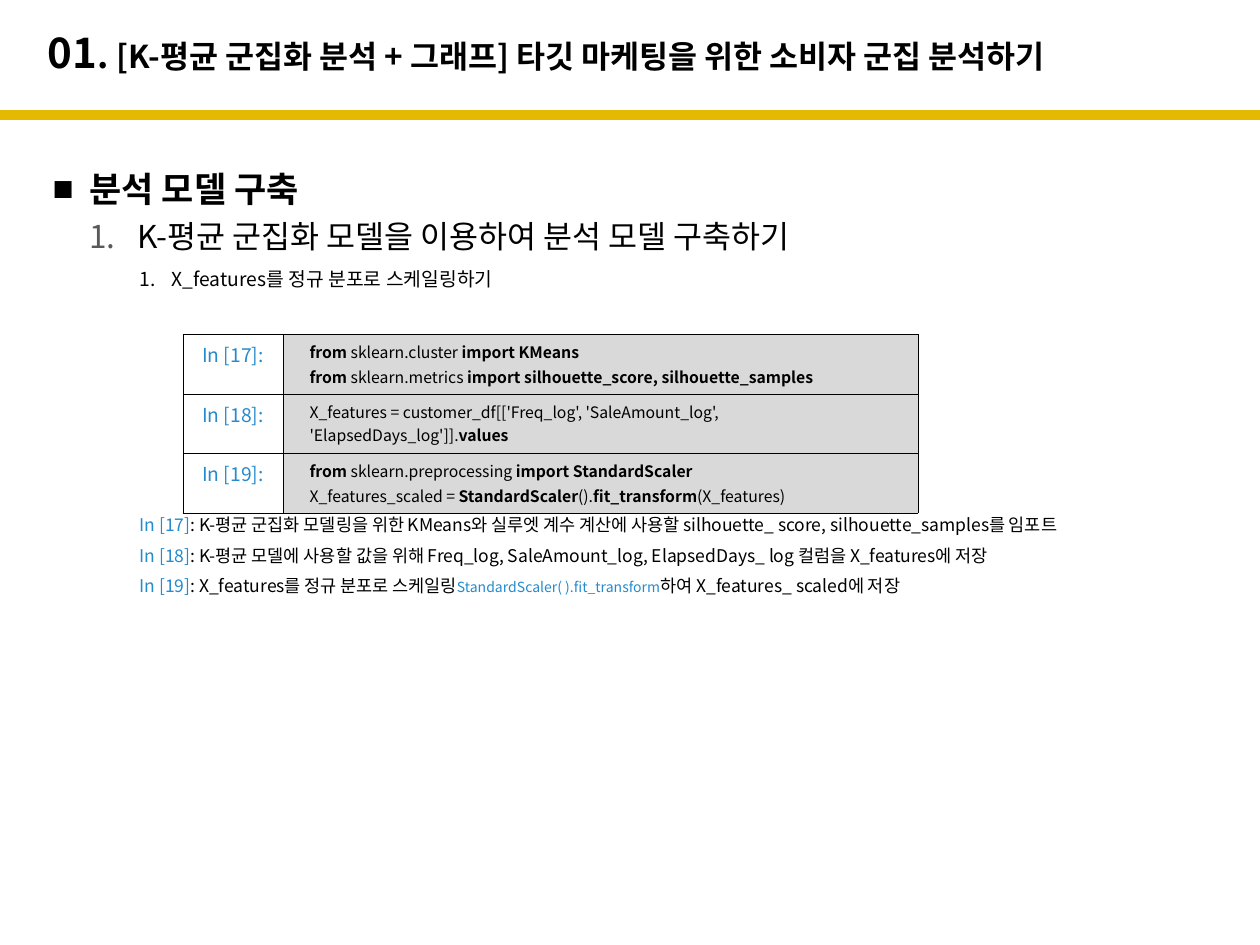
from lxml import etree
from pptx import Presentation
from pptx import util as u
from pptx.dml.color import RGBColor
from pptx.enum import shapes, text
from pptx.oxml import ns

FONT = "Noto Sans CJK KR"
BLACK, BLUE, GOLD = "000000", "258BCD", "E4B902"
WHITE, GRAY, DARK_GRAY = "FFFFFF", "D9D9D9", "595959"

CODE_ROWS = [
    ("In [17]:", 60, [
        [("from", True), (" sklearn.cluster ", False), ("import KMeans", True)],
        [("from", True), (" sklearn.metrics ", False),
         ("import silhouette_score, silhouette_samples", True)],
    ]),
    ("In [18]:", 59, [
        [("X_features = customer_df[['Freq_log', 'SaleAmount_log', 'ElapsedDays_log']].", False),
         ("values", True)],
    ]),
    ("In [19]:", 60, [
        [("from", True), (" sklearn.preprocessing ", False), ("import StandardScaler", True)],
        [("X_features_scaled = ", False), ("StandardScaler", True), ("().", False),
         ("fit_transform", True), ("(X_features)", False)],
    ]),
]

NOTES = [
    [("In [17]", BLUE, 10),
     (": K-평균 군집화 모델링을 위한 KMeans와 실루엣 계수 계산에 사용할 "
      "silhouette_ score, silhouette_samples를 임포트", BLACK, 10)],
    [("In [18]", BLUE, 10),
     (": K-평균 모델에 사용할 값을 위해 Freq_log, SaleAmount_log, ElapsedDays_ log "
      "컬럼을 X_features에 저장", BLACK, 10)],
    [("In [19]", BLUE, 10),
     (": X_features를 정규 분포로 스케일링", BLACK, 10),
     ("StandardScaler( ).fit_transform", BLUE, 8),
     ("하여 X_features_ scaled에 저장", BLACK, 10)],
]


def px(length):
    return u.Emu(round(length * 914400 / 126))


def rgb(color):
    return RGBColor.from_string(color)


def add_xml(parent, tag, **attributes):
    return etree.SubElement(parent, ns.qn(tag), **attributes)


def place(shape, left, top, width, height):
    shape.left, shape.top = px(left), px(top)
    shape.width, shape.height = px(width), px(height)


def add_text(paragraph, content, size, color=BLACK, bold=False, kerned=False):
    run = paragraph.add_run()
    run.text = content
    font = run.font
    font.size, font.bold, font.name = u.Pt(size), bold, FONT
    font.color.rgb = rgb(color)
    add_xml(font._element, "a:ea", typeface=FONT)
    if not kerned:
        font._element.set("kern", "0")


def add_paragraph(frame, level=0, left=0, hanging=0, before=0, after=0,
                  spacing=1.0, bullet=None, bullet_color=BLACK):
    """Fill the empty first paragraph or append one; bullet is a character, "1." or None."""
    first = frame.paragraphs[0]
    paragraph = frame.add_paragraph() if first.runs else first
    properties = paragraph._p.get_or_add_pPr()
    properties.set("marL", str(px(left)))
    properties.set("indent", str(-px(hanging)))
    if bullet is None:
        add_xml(properties, "a:buNone")
    else:
        add_xml(add_xml(properties, "a:buClr"), "a:srgbClr", val=bullet_color)
        if bullet == "1.":
            add_xml(properties, "a:buAutoNum", type="arabicPeriod")
        else:
            add_xml(properties, "a:buChar", char=bullet)
    paragraph.level = level
    paragraph.alignment = text.PP_ALIGN.LEFT
    paragraph.space_before, paragraph.space_after = u.Pt(before), u.Pt(after)
    paragraph.line_spacing = spacing
    return paragraph


def add_rule(slide):
    rule = slide.shapes.add_connector(
        shapes.MSO_CONNECTOR.STRAIGHT, 0, px(115), px(1260), px(115))
    rule.line.color.rgb = rgb(GOLD)
    rule.line.width = u.Pt(6)
    add_xml(rule._element.spPr, "a:effectLst")


def fill_title(title):
    place(title, 35, 14, 1197, 76)
    frame = title.text_frame
    frame.auto_size = text.MSO_AUTO_SIZE.NONE
    frame.vertical_anchor = text.MSO_ANCHOR.MIDDLE
    paragraph = add_paragraph(frame)
    for content, size in [
        ("01", 24), (". ", 20),
        ("[K-평균 군집화 분석 + 그래프] 타깃 마케팅을 위한 소비자 군집 분석하기", 18),
    ]:
        add_text(paragraph, content, size, bold=True)


def fill_body(body):
    place(body, 40, 140, 1191, 753)
    frame = body.text_frame
    frame.auto_size = text.MSO_AUTO_SIZE.NONE

    heading = add_paragraph(frame, left=37, hanging=37, spacing=1.5, bullet="■")
    add_text(heading, "분석 모델 구축", 20, bold=True)
    task = add_paragraph(frame, level=1, left=85, hanging=48, before=4.5, after=4,
                         bullet="1.", bullet_color=DARK_GRAY)
    add_text(task, "K-평균 군집화 모델을 이용하여 분석 모델 구축하기", 18)
    step = add_paragraph(frame, level=3, left=119, hanging=32, before=2.8, after=3,
                         bullet="1.")
    add_text(step, "X_features를 정규 분포로 스케일링하기", 11)

    table_gap = 125
    for index, note in enumerate(NOTES):
        paragraph = add_paragraph(frame, level=3, left=119, hanging=32, after=3,
                                  before=2.5 if index else table_gap)
        for content, color, size in note:
            add_text(paragraph, content, size, color)


def format_cell(cell, fill):
    """Draw thin black borders, then the fill, which must follow them in the XML."""
    properties = cell._tc.get_or_add_tcPr()
    for side in ("a:lnL", "a:lnR", "a:lnT", "a:lnB"):
        border = add_xml(properties, side, w=str(u.Pt(0.11)))
        add_xml(add_xml(border, "a:solidFill"), "a:srgbClr", val=BLACK)
    cell.fill.solid()
    cell.fill.fore_color.rgb = rgb(fill)


def add_code_table(slide):
    heights = [height for _, height, _ in CODE_ROWS]
    widths = [100, 635]
    table = slide.shapes.add_table(
        len(CODE_ROWS), len(widths), px(183), px(334), px(sum(widths)), px(sum(heights))).table
    for column, width in zip(table.columns, widths):
        column.width = px(width)
    for row, (label, height, code) in zip(table.rows, CODE_ROWS):
        row.height = px(height)
        label_cell, code_cell = row.cells
        format_cell(label_cell, WHITE)
        format_cell(code_cell, GRAY)
        paragraph = add_paragraph(label_cell.text_frame, after=3)
        paragraph.alignment = text.PP_ALIGN.CENTER
        add_text(paragraph, label, 11, BLUE, kerned=True)
        for index, line in enumerate(code):
            paragraph = add_paragraph(code_cell.text_frame, level=3, left=14,
                                      before=0.5 if index else 0, after=0.5)
            for content, bold in line:
                add_text(paragraph, content, 9, bold=bold, kerned=True)


def main():
    deck = Presentation()
    deck.slide_width, deck.slide_height = px(1260), px(945)
    slide = deck.slides.add_slide(deck.slide_layouts[1])
    add_rule(slide)
    fill_title(slide.shapes.title)
    fill_body(slide.placeholders[1])
    add_code_table(slide)
    deck.save("out.pptx")


if __name__ == "__main__":
    main()
